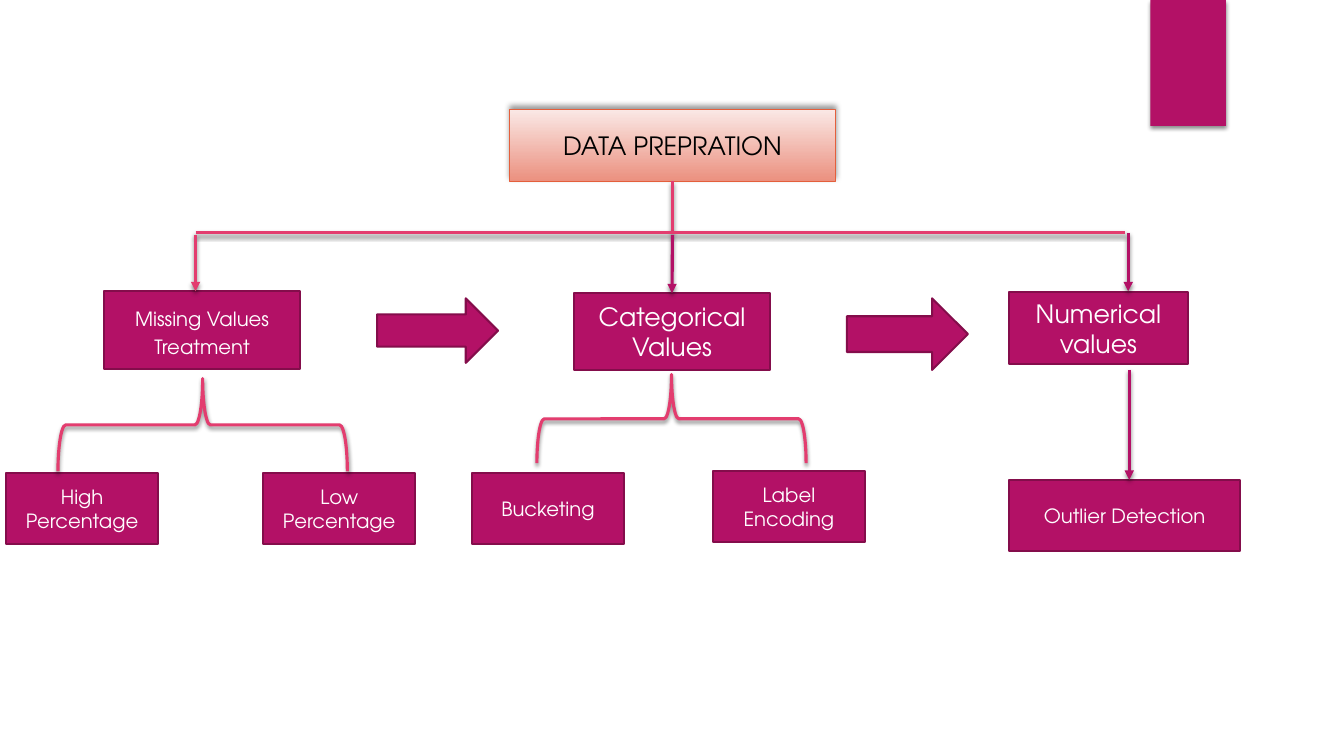
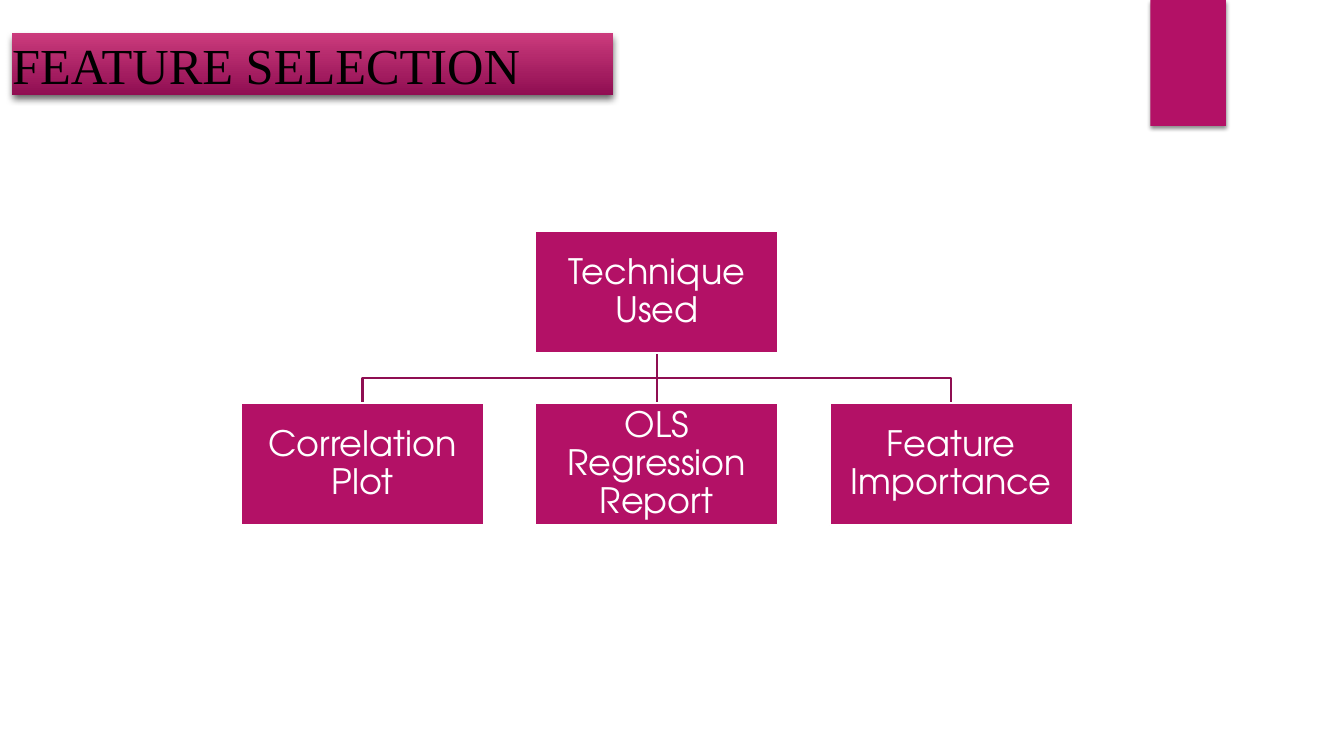
import pptx
import pptx.dml.color
import pptx.enum.shapes
import pptx.enum.text
import pptx.oxml.ns
import pptx.util
from lxml import etree

Inches, Pt = pptx.util.Inches, pptx.util.Pt
SHAPE = pptx.enum.shapes.MSO_SHAPE
STRAIGHT = pptx.enum.shapes.MSO_CONNECTOR.STRAIGHT
ALIGN = pptx.enum.text.PP_ALIGN
TOP, BOTTOM = 0, 2

COLORS = {
    "magenta": "B31166", "edge": "840D4B", "pink": "E33D6F", "tree": "8F0E52",
    "white": "FFFFFF", "black": "000000", "orange": "E45F3C",
    "peach_light": "FAE8E5", "peach_dark": "EB907F",
    "title_light": "CB3B7C", "title_dark": "900E52",
}
BODY_FONT, TITLE_FONT = "TeX Gyre Adventor", "Times New Roman"

# Shadows: opacity %, blur pt, distance pt, direction in degrees
SOFT_SHADOW = (45, 3, 2, 90)
ROOT_SHADOW = (40, 4, 3, 270)
TITLE_SHADOW = (60, 5, 3, 90)

BAND = (11.41, 0, 0.75, 1.25)

# Slide 1
ROOT = ("DATA PREPRATION", (5.05, 1.09, 3.24, 0.71))
# name: text, place, size, line spacing
STEPS = {
    "missing": ("Missing Values Treatment", (1.03, 2.89, 1.95, 0.77), 14, 1.2),
    "categorical": ("Categorical Values", (5.69, 2.91, 1.95, 0.76), 18, 1),
    "numerical": ("Numerical values", (10.01, 2.9, 1.77, 0.71), 18, 1),
    "outlier": ("Outlier Detection", (10.01, 4.76, 2.29, 0.71), 14, 1),
}
LEAF_SIZE = (1.51, 0.71)
LEAVES = [
    ("High Percentage", 0.06, 4.69), ("Low Percentage", 2.61, 4.69),
    ("Bucketing", 4.68, 4.69), ("Label Encoding", 7.07, 4.67),
]
# start, end, colour, arrowhead, box joined at the start, box joined at the end
LINES = [
    ((6.67, 1.83), (6.67, 2.3), "pink", False, "root", None),
    ((1.94, 2.31), (11.16, 2.31), "pink", False, None, None),
    ((1.94, 2.33), (1.94, 2.89), "pink", True, None, None),
    ((11.19, 2.31), (11.19, 2.89), "magenta", True, None, None),
    ((6.67, 2.33), (6.67, 2.91), "magenta", True, None, "categorical"),
    ((11.2, 3.67), (11.2, 4.76), "magenta", True, None, None),
]
BRACES = [
    (SHAPE.RIGHT_BRACE, (1.55, 2.78, 0.92, 2.87), 270),
    (SHAPE.LEFT_BRACE, (6.22, 2.82, 0.88, 2.67), 90),
]
BLOCK_ARROWS = [(3.74, 2.96, 1.2, 0.64), (8.4, 2.96, 1.2, 0.71)]

# Slide 2
TITLE = ("FEATURE SELECTION", (0.12, 0.33, 5.96, 0.61))
PARENT = "Technique Used"
CHILDREN = ["Correlation Plot", "OLS Regression Report", "Feature Importance"]
NODE_SIZE = (2.41, 1.21)
CHILD_LEFT, CHILD_STEP = 2.39, 2.92
PARENT_TOP, CHILD_TOP = 2.29, 4


def rgb(name):
    return pptx.dml.color.RGBColor.from_string(COLORS[name])


def set_shadow(shape, shadow):
    """Give an already filled and outlined shape its shadow, or none."""
    if not isinstance(shape, pptx.shapes.connector.Connector):
        shape.shadow.inherit = False
    properties = shape._element.spPr
    effects = properties.find(pptx.oxml.ns.qn("a:effectLst"))
    if effects is None:
        effects = etree.SubElement(properties, pptx.oxml.ns.qn("a:effectLst"))
    if shadow:
        opacity, blur, distance, direction = shadow
        outer = etree.SubElement(effects, pptx.oxml.ns.qn("a:outerShdw"), {
            "blurRad": str(Pt(blur)), "dist": str(Pt(distance)),
            "dir": str(direction * 60000), "algn": "ctr", "rotWithShape": "0"})
        color = etree.SubElement(outer, pptx.oxml.ns.qn("a:srgbClr"), val=COLORS["black"])
        etree.SubElement(color, pptx.oxml.ns.qn("a:alpha"), val=str(opacity * 1000))


def style(shape, fill=None, line=None, width=1.5, shadow=None):
    """Fill with one colour name, a (top, bottom) gradient or nothing."""
    if isinstance(fill, tuple):
        shape.fill.gradient()
        shape.fill.gradient_angle = 270
        for stop, position, name in zip(shape.fill.gradient_stops, (0, 1), fill):
            stop.position = position
            stop.color.rgb = rgb(name)
    elif fill:
        shape.fill.solid()
        shape.fill.fore_color.rgb = rgb(fill)
    else:
        shape.fill.background()
    if line:
        shape.line.color.rgb = rgb(line)
        shape.line.width = Pt(width)
    else:
        shape.line.fill.background()
    set_shadow(shape, shadow)


def add_shape(slide, kind, place, **look):
    shape = slide.shapes.add_shape(kind, *map(Inches, place))
    style(shape, **look)
    return shape


def write(shape, text, size, color="white", font=BODY_FONT, align=ALIGN.CENTER,
          spacing=1, margin=None):
    frame = shape.text_frame
    frame.word_wrap = True
    frame.vertical_anchor = pptx.enum.text.MSO_ANCHOR.MIDDLE
    if margin is not None:
        for side in ("left", "top", "right", "bottom"):
            setattr(frame, "margin_" + side, Inches(margin))
    paragraph = frame.paragraphs[0]
    paragraph.text = text
    paragraph.alignment = align
    paragraph.line_spacing = spacing
    for key, value in {"name": font, "size": Pt(size)}.items():
        setattr(paragraph.runs[0].font, key, value)
    paragraph.runs[0].font.color.rgb = rgb(color)


def add_box(slide, text, place, size, spacing=1):
    box = add_shape(slide, SHAPE.RECTANGLE, place, fill="magenta", line="edge")
    write(box, text, size, spacing=spacing)
    return box


def add_line(slide, start, end, color, width, shadow=None, arrow=False):
    connector = slide.shapes.add_connector(STRAIGHT, *map(Inches, start + end))
    connector.line.color.rgb = rgb(color)
    connector.line.width = Pt(width)
    if arrow:
        etree.SubElement(connector.line._get_or_add_ln(),
                         pptx.oxml.ns.qn("a:tailEnd"), type="triangle")
    set_shadow(connector, shadow)
    return connector


def new_slide(presentation):
    """Add a blank slide with the corner band."""
    slide = presentation.slides.add_slide(presentation.slide_layouts[6])
    add_shape(slide, SHAPE.RECTANGLE, BAND, fill="magenta", shadow=SOFT_SHADOW)
    return slide


def build_preparation(presentation):
    slide = new_slide(presentation)
    text, place = ROOT
    root = add_shape(slide, SHAPE.RECTANGLE, place, fill=("peach_light", "peach_dark"),
                     line="orange", width=0.75, shadow=ROOT_SHADOW)
    write(root, text, 18, "black")
    boxes = {name: add_box(slide, *step) for name, step in STEPS.items()}
    boxes["root"] = root
    for text, left, top in LEAVES:
        add_box(slide, text, (left, top) + LEAF_SIZE, 14)
    for start, end, color, arrow, source, target in LINES:
        connector = add_line(slide, start, end, color, 2.25, SOFT_SHADOW, arrow)
        if source:
            connector.begin_connect(boxes[source], BOTTOM)
        if target:
            connector.end_connect(boxes[target], TOP)
    for kind, place, rotation in BRACES:
        brace = add_shape(slide, kind, place, line="pink", width=2.25, shadow=SOFT_SHADOW)
        brace.rotation = rotation
    for place in BLOCK_ARROWS:
        add_shape(slide, SHAPE.RIGHT_ARROW, place, fill="magenta", line="edge")


def add_node(slide, text, left, top):
    node = add_shape(slide, SHAPE.RECTANGLE, (left, top) + NODE_SIZE,
                     fill="magenta", line="white")
    write(node, text, 25, spacing=0.9, margin=0.02)
    return node


def add_elbow(slide, points):
    start, *rest = [tuple(map(Inches, point)) for point in points]
    builder = slide.shapes.build_freeform(*start)
    builder.add_line_segments(rest, close=False)
    style(builder.convert_to_shape(), line="tree")


def build_selection(presentation):
    slide = new_slide(presentation)
    text, place = TITLE
    title = add_shape(slide, SHAPE.RECTANGLE, place, fill=("title_light", "title_dark"),
                      shadow=TITLE_SHADOW)
    write(title, text, 36, "black", TITLE_FONT, ALIGN.LEFT, margin=0)

    width, height = NODE_SIZE
    lefts = [CHILD_LEFT + index * CHILD_STEP for index in range(len(CHILDREN))]
    middle = len(CHILDREN) // 2
    center, bottom = lefts[middle] + width / 2, PARENT_TOP + height
    bend = (bottom + CHILD_TOP) / 2
    for left in lefts[:middle] + lefts[middle + 1:]:
        child_center = left + width / 2
        add_elbow(slide, [(center, bottom), (center, bend),
                          (child_center, bend), (child_center, CHILD_TOP)])
    trunk = add_line(slide, (center, bottom), (center, CHILD_TOP), "tree", 1.5)
    parent = add_node(slide, PARENT, lefts[middle], PARENT_TOP)
    nodes = [add_node(slide, text, left, CHILD_TOP) for text, left in zip(CHILDREN, lefts)]
    trunk.begin_connect(parent, BOTTOM)
    trunk.end_connect(nodes[middle], TOP)


def main():
    presentation = pptx.Presentation()
    presentation.slide_width = Inches(13.33)
    presentation.slide_height = Inches(7.5)
    build_preparation(presentation)
    build_selection(presentation)
    presentation.save("out.pptx")


if __name__ == "__main__":
    main()
